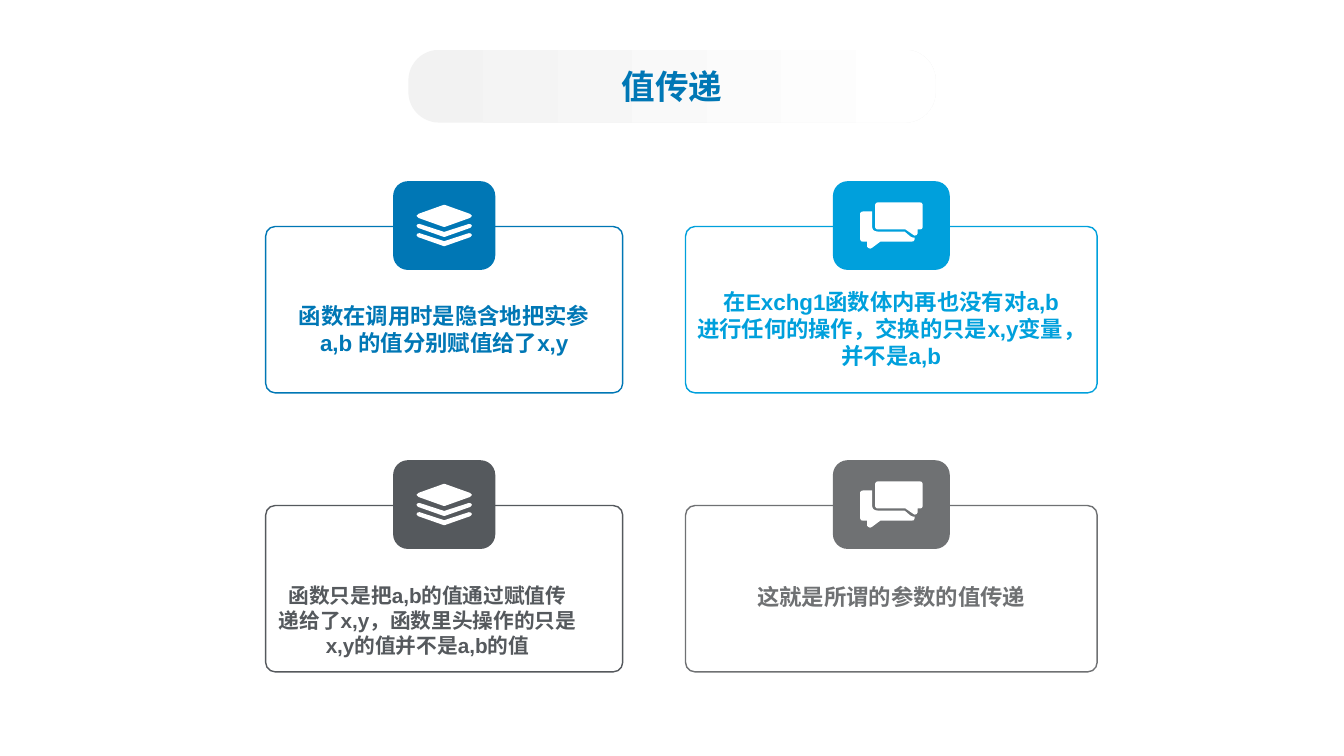
from dataclasses import dataclass
from typing import Any
from lxml.etree import SubElement
from pptx import Presentation
from pptx.dml.color import RGBColor
from pptx.enum.shapes import MSO_SHAPE
from pptx.enum.text import MSO_ANCHOR, MSO_AUTO_SIZE, PP_ALIGN
from pptx.oxml.ns import qn
from pptx.util import Pt

Path = list[tuple[float, float]]

HUES = {
    "navy": "0077B5",
    "sky": "00A0DC",
    "slate": "55595D",
    "gray": "6F7173",
    "pale": "F2F2F2",
    "white": "FFFFFF",
}

SHEET: Path = [
    (0, 7.9), (1.4, 6.5), (19, 0.2), (19.8, 0), (20.6, 0.2), (38.2, 6.5),
    (39.6, 7.9), (38.2, 9.4), (20.6, 15.7), (19.8, 15.8), (19, 15.7), (1.4, 9.4),
]
FOLD: Path = [
    (0, 15.1), (0.7, 14), (2.2, 13.7), (19.8, 19.4), (37.4, 13.7), (38.9, 14),
    (39.6, 15.1), (38.5, 16.5), (20.6, 22.8), (19.8, 23), (19, 22.8), (1.1, 16.5),
]
STACK = [SHEET, FOLD, [(x, y + 6.6) for x, y in FOLD]]

FRONT: Path = [
    (10.8, 1.5), (11.4, 0.4), (12.7, 0), (42.6, 0), (44, 0.4), (44.6, 1.5),
    (44.6, 18), (44, 19.1), (42.6, 19.4), (41, 19.4), (41, 22.3), (40.3, 23.4),
    (38.9, 23.8), (38.2, 23.4), (32.4, 19.4), (12.7, 19.4), (11.4, 19.1), (10.8, 18),
]
BACK: Path = [
    (31.7, 20.9), (36, 24.5), (37.2, 25.1), (38.9, 25.2), (38.9, 26.6), (38.2, 27.8),
    (36.7, 28.1), (14.4, 28.1), (8.6, 32.4), (7.2, 33.1), (5.8, 32.6), (5, 31.7),
    (5, 28.1), (2.2, 28.1), (0.6, 27.8), (0, 26.6), (0, 7.9), (0.6, 6.9),
    (2.2, 6.5), (8.6, 6.5), (8.6, 18), (9.2, 19.6), (10.6, 20.6), (12.7, 20.9),
]
CHAT = [FRONT, BACK]


@dataclass
class Column:
    mid: float
    width: float
    badge: float
    text: float
    icon: list[Path]


@dataclass
class Card:
    col: Column
    row: int
    hue: str
    lines: list[str]
    top: float
    high: float
    size: float = 16
    shift: float = 0


LEFT = Column(317.3, 255, 73, 232, STACK)
RIGHT = Column(636.7, 294, 83.5, 288, CHAT)
EDGE, STEP = 161.8, 199.3

CARDS = [
    Card(LEFT, 0, "navy", ["函数在调用时是隐含地把实参", "a,b 的值分别赋值给了x,y"], 54.2, 53),
    Card(RIGHT, 0, "sky",
         ["在Exchg1函数体内再也没有对a,b", "进行任何的操作，交换的只是x,y变量，", "并不是a,b"], 44.2, 63),
    Card(LEFT, 1, "slate",
         ["函数只是把a,b的值通过赋值传", "递给了x,y，函数里头操作的只是", "x,y的值并不是a,b的值"],
         55.2, 50, 14.8, -12),
    Card(RIGHT, 1, "gray", ["这就是所谓的参数的值传递"], 55.2, 20),
]


def tint(name: str) -> RGBColor:
    return RGBColor.from_string(HUES[name])


def style(item: Any, looks: dict[str, Any]) -> None:
    for key, value in looks.items():
        setattr(item, key, value)


def paint(shape: Any, hue: str) -> None:
    shape.shadow.inherit = False
    shape.fill.solid()
    shape.fill.fore_color.rgb = tint(hue)
    shape.line.fill.background()


def draw_box(home: Any, mid: float, top: float, wide: float, high: float, bend: float) -> Any:
    box = home.shapes.add_shape(
        MSO_SHAPE.ROUNDED_RECTANGLE, Pt(mid - wide / 2), Pt(top), Pt(wide), Pt(high))
    box.adjustments[0] = bend
    box.shadow.inherit = False
    return box


def draw_icon(group: Any, paths: list[Path], mid: float, axis: float) -> None:
    spots = [spot for path in paths for spot in path]
    left = mid - max(x for x, _ in spots) / 2
    top = axis - max(y for _, y in spots) / 2
    moved = [[(Pt(left + x), Pt(top + y)) for x, y in path] for path in paths]
    pen = group.shapes.build_freeform(*moved[0][0])
    for path in moved:
        if path is not moved[0]:
            pen.move_to(*path[0])
        pen.add_line_segments(path[1:], close=True)
    paint(pen.convert_to_shape(), "white")


def draw_text(group: Any, card: Card, edge: float) -> None:
    col = card.col
    box = group.shapes.add_textbox(
        Pt(col.mid - col.text / 2 + card.shift), Pt(edge + card.top), Pt(col.text), Pt(card.high))
    frame = box.text_frame
    style(frame, {
        "margin_left": 0, "margin_top": 0, "margin_right": 0, "margin_bottom": 0,
        "word_wrap": False, "text": "\n".join(card.lines),
    })
    for para in frame.paragraphs:
        para.alignment = PP_ALIGN.CENTER
        for run in para.runs:
            style(run.font, {"name": "Arial", "size": Pt(card.size), "bold": True})
            run.font.color.rgb = tint(card.hue)


def draw_card(slide: Any, card: Card) -> None:
    col, edge = card.col, EDGE + card.row * STEP
    group = slide.shapes.add_group_shape()
    frame = draw_box(group, col.mid, edge, col.width, 118.8, 0.057)
    frame.fill.background()
    frame.line.color.rgb = tint(card.hue)
    frame.line.width = Pt(1)
    paint(draw_box(group, col.mid, edge - 32.4, col.badge, 63.4, 0.167), card.hue)
    draw_icon(group, col.icon, col.mid, edge - 0.7)
    draw_text(group, card, edge)


def draw_title(slide: Any, text: str) -> None:
    title = slide.shapes.title
    pill = draw_box(slide, 480, 35.6, 376.6, 52, 0.423)
    pill.line.fill.background()
    pill.fill.gradient()
    pill.fill.gradient_angle = 0
    for stop, hue, spot in zip(pill.fill.gradient_stops, ("pale", "white"), (0, 0.99)):
        stop.color.rgb = tint(hue)
        stop.position = spot
    title.element.addprevious(pill.element)
    style(title, {key: getattr(pill, key) for key in ("left", "top", "width", "height")})
    style(title.text_frame, {
        "text": text, "word_wrap": True,
        "auto_size": MSO_AUTO_SIZE.NONE, "vertical_anchor": MSO_ANCHOR.MIDDLE,
    })
    para = title.text_frame.paragraphs[0]
    para.alignment = PP_ALIGN.CENTER
    font = para.runs[0].font
    style(font, {"name": "Noto Sans CJK SC", "size": Pt(24), "bold": True})
    font.color.rgb = tint("navy")
    SubElement(para.runs[0]._r.get_or_add_rPr(), qn("a:ea"), typeface="Noto Sans CJK SC")


def main() -> None:
    deck = Presentation()
    style(deck, {"slide_width": Pt(960), "slide_height": Pt(540)})
    slide = deck.slides.add_slide(deck.slide_layouts[5])
    draw_title(slide, "值传递")
    for card in CARDS:
        draw_card(slide, card)
    deck.save("out.pptx")


if __name__ == "__main__":
    main()
